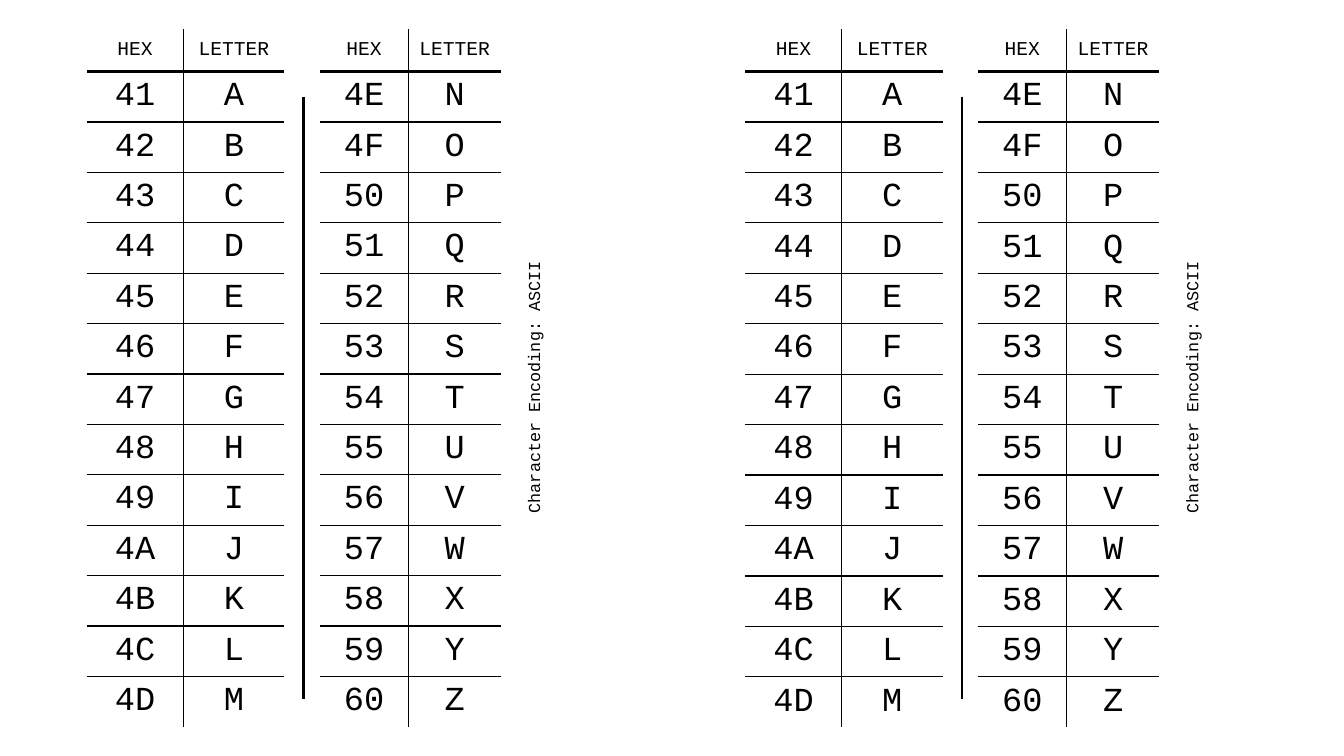
from dataclasses import dataclass

from pptx import Presentation
from pptx.dml.color import RGBColor
from pptx.enum.shapes import MSO_CONNECTOR as Connector
from pptx.enum.text import MSO_ANCHOR as Anchor, PP_ALIGN as Align
from pptx.oxml.ns import qn
from pptx.slide import Slide
from pptx.table import _Cell as Cell
from pptx.text.text import TextFrame
from pptx.util import Inches, Pt
from lxml.etree import SubElement

FONT = "Courier New"
BLACK = "000000"
TABLE_TOP = 0.29
HEADER_HEIGHT = 0.42
ROW_HEIGHT = 0.5
PANEL_LEFTS = (0.86, 7.39)


@dataclass(frozen=True)
class CodeTable:
    offset: float  # from the left edge of the panel
    widths: tuple[float, float]
    codes: str
    letters: str


CODE_TABLES = (
    CodeTable(0, (0.96, 1.0), "41 42 43 44 45 46 47 48 49 4A 4B 4C 4D", "ABCDEFGHIJKLM"),
    CodeTable(2.31, (0.88, 0.92), "4E 4F 50 51 52 53 54 55 56 57 58 59 60", "NOPQRSTUVWXYZ"),
)


def color(value: str) -> RGBColor:
    return RGBColor.from_string(value)


def write(frame: TextFrame, text: str, *, size: float, align: Align = Align.LEFT) -> None:
    para = frame.paragraphs[0]
    para.alignment = align
    span = para.add_run()
    span.text = text
    span.font.name = FONT
    span.font.size = Pt(size)
    span.font.bold = False
    span.font.color.rgb = color(BLACK)


def set_borders(cell: Cell, **widths: float) -> None:
    """Draw the sides L, R, T and B in points; a width of 0 hides the side."""
    properties = cell._tc.get_or_add_tcPr()
    for side, width in widths.items():
        line = SubElement(properties, qn(f"a:ln{side}"), w=str(Pt(width)))
        if width:
            fill = SubElement(line, qn("a:solidFill"))
            SubElement(fill, qn("a:srgbClr"), val=BLACK)
        else:
            SubElement(line, qn("a:noFill"))


def draw_table(page: Slide, panel_left: float, spec: CodeTable) -> None:
    rows = [("HEX", "LETTER"), *zip(spec.codes.split(), spec.letters)]
    last = len(rows) - 1
    height = HEADER_HEIGHT + last * ROW_HEIGHT
    table = page.shapes.add_table(
        len(rows), 2, Inches(panel_left + spec.offset), Inches(TABLE_TOP),
        Inches(sum(spec.widths)), Inches(height)).table
    table.first_row = table.horz_banding = False
    for column, width in zip(table.columns, spec.widths):
        column.width = Inches(width)

    # Only the inner grid shows, with a heavier rule below the header
    rules = [0, 2] + [1] * (last - 1) + [0]
    for r, texts in enumerate(rows):
        table.rows[r].height = Inches(ROW_HEIGHT if r else HEADER_HEIGHT)
        for c, text in enumerate(texts):
            cell = table.cell(r, c)
            set_borders(cell, L=c, R=1 - c, T=rules[r], B=rules[r + 1])
            cell.fill.background()
            cell.vertical_anchor = Anchor.MIDDLE
            write(cell.text_frame, text, size=24 if r else 14, align=Align.CENTER)


def draw_divider(page: Slide, x: float) -> None:
    divider = page.shapes.add_connector(
        Connector.STRAIGHT, Inches(x), Inches(0.96), Inches(x), Inches(6.93))
    divider.line.color.rgb = color(BLACK)
    divider.line.width = Pt(1.5)
    SubElement(divider._element.spPr, qn("a:effectLst"))


def draw_caption(page: Slide, left: float) -> None:
    box = page.shapes.add_textbox(Inches(left), Inches(3.6), Inches(2.88), Inches(0.3))
    box.rotation = 270
    box.text_frame.word_wrap = True
    write(box.text_frame, "Character Encoding: ASCII", size=12)


def main() -> None:
    deck = Presentation()
    deck.slide_width, deck.slide_height = Inches(13.33), Inches(7.5)
    page = deck.slides.add_slide(deck.slide_layouts[6])

    # Two identical panels side by side
    for left in PANEL_LEFTS:
        for code_table in CODE_TABLES:
            draw_table(page, left, code_table)
        draw_divider(page, left + 2.15)
        draw_caption(page, left + 2.99)

    deck.save("out.pptx")


if __name__ == "__main__":
    main()
